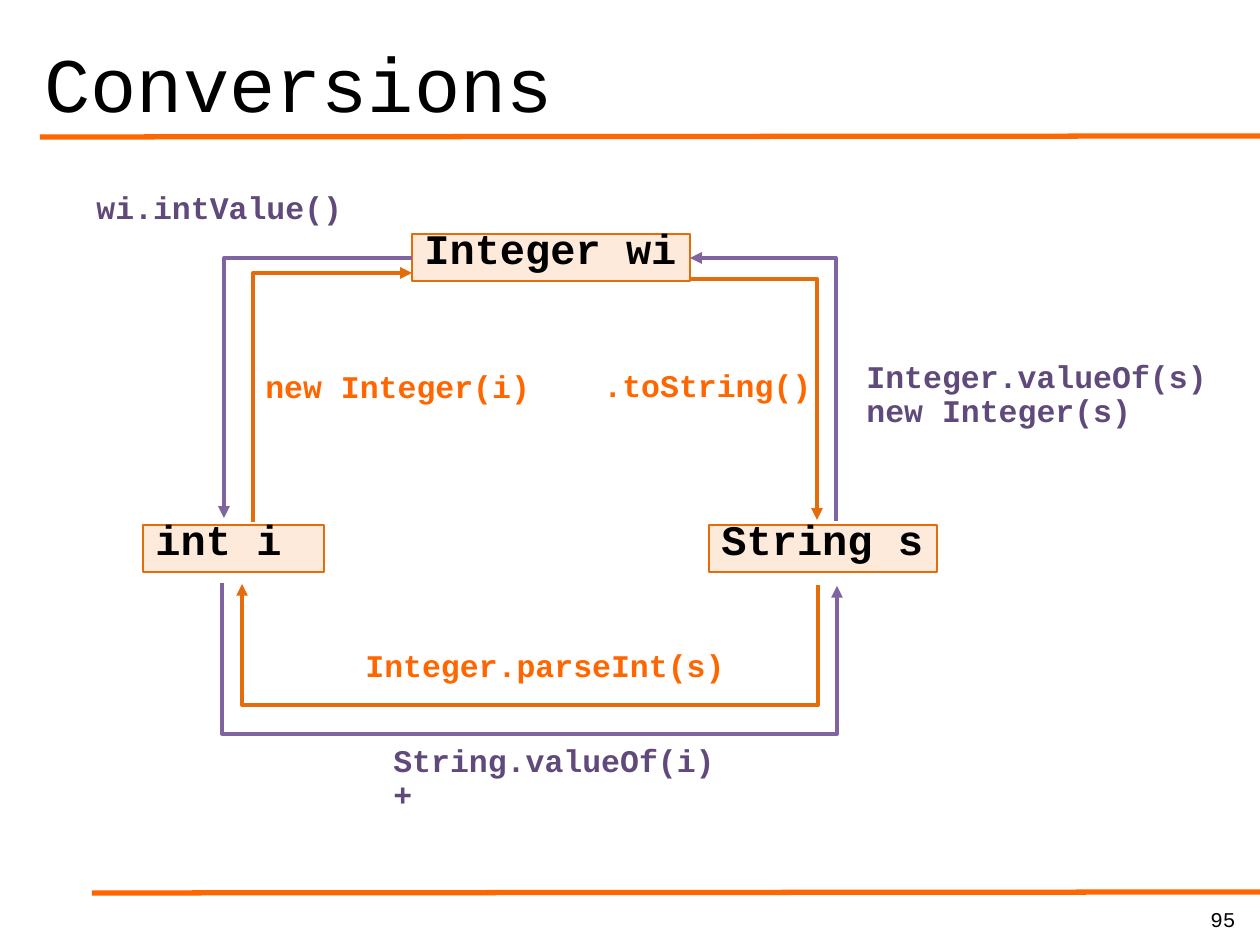
from lxml import etree
from pptx import Presentation
from pptx import util as u
from pptx.dml.color import RGBColor
from pptx.enum import shapes, text
from pptx.oxml.ns import qn

COLORS = {
    "rule": "FF6600", "orange": "E46C0A", "violet": "8064A2",
    "violet_text": "604A7B", "box": "FDEADA", "black": "000000",
}
FONT = "Courier New"
PX_PER_INCH = 126


def px(n):
    return u.Emu(round(n * 914400 / PX_PER_INCH))


def rgb(name):
    return RGBColor.from_string(COLORS[name])


class Deck:
    """Holds the presentation, the current slide and the shared style."""

    def __init__(self, width, height):
        self.prs = Presentation()
        self.prs.slide_width, self.prs.slide_height = px(width), px(height)
        self.s = None

    def new_slide(self):
        self.s = self.prs.slides.add_slide(self.prs.slide_layouts[5])

    def fill_text(self, tf, lines, color, spacing=None, align=text.PP_ALIGN.LEFT, **font):
        for i, line in enumerate(lines):
            p = tf.paragraphs[0] if i == 0 else tf.add_paragraph()
            p.alignment = align
            if spacing:
                p.line_spacing = spacing
            r = p.add_run()
            r.text = line
            r.font.name = FONT
            r.font.color.rgb = rgb(color)
            for name, value in font.items():
                setattr(r.font, name, value)

    def title(self, box, words):
        sp = self.s.shapes.title
        sp.left, sp.top, sp.width, sp.height = map(px, box)
        tf = sp.text_frame
        tf.vertical_anchor = text.MSO_ANCHOR.BOTTOM
        tf.auto_size = text.MSO_AUTO_SIZE.NONE
        self.fill_text(tf, [words], "black", 1.03, size=u.Pt(44), bold=False)

    def label(self, box, lines, color, spacing=0.6, **fmt):
        sp = self.s.shapes.add_textbox(*map(px, box))
        sp.text_frame.word_wrap = False
        fmt = {"size": u.Pt(18), "bold": True, **fmt}
        self.fill_text(sp.text_frame, lines, color, spacing, **fmt)

    def type_box(self, box, words):
        sp = self.s.shapes.add_shape(shapes.MSO_SHAPE.RECTANGLE, *map(px, box))
        sp.shadow.inherit = False
        sp.fill.solid()
        sp.fill.fore_color.rgb = rgb("box")
        sp.line.color.rgb = rgb("orange")
        sp.line.width = u.Pt(1)
        tf = sp.text_frame
        tf.word_wrap = True
        tf.vertical_anchor = text.MSO_ANCHOR.TOP
        self.fill_text(tf, [words], "black", 0.6, size=u.Pt(24), bold=True)

    def line(self, start, end, color, width, kind=shapes.MSO_CONNECTOR.STRAIGHT, arrow=None):
        """arrow is "headEnd" (at start) or "tailEnd" (at end)."""
        c = self.s.shapes.add_connector(kind, *map(px, (*start, *end)))
        c.line.color.rgb = rgb(color)
        c.line.width = u.Pt(width)
        if arrow:
            etree.SubElement(c.get_or_add_ln(), qn("a:" + arrow), type="triangle")
        etree.SubElement(c._element.spPr, qn("a:effectLst"))
        return c

    def corner(self, start, end, color, arrow):
        """One bend: horizontal from start, then vertical to end."""
        c = self.line(start, end, color, 2.25, shapes.MSO_CONNECTOR.ELBOW, arrow)
        c._element.spPr.find(qn("a:prstGeom")).set("prst", "bentConnector2")

    def loop(self, start, end, bend_y, color, arrow):
        """Two bends: vertical to bend_y, across, and vertical to end."""
        (x1, y1), (x2, y2) = start, end
        cx, cy = (x1 + x2) / 2, (y1 + y2) / 2
        unturned = [(cx - (y - cy), cy + (x - cx)) for x, y in (start, end)]
        c = self.line(*unturned, color, 2.25, shapes.MSO_CONNECTOR.ELBOW, arrow)
        sp_pr = c._element.spPr
        sp_pr.find(qn("a:xfrm")).set("rot", str(270 * 60000))
        bend = round((bend_y - y1) / (y2 - y1) * 100000)
        geometry = sp_pr.find(qn("a:prstGeom"))
        guides = geometry.find(qn("a:avLst"))
        if guides is None:
            guides = etree.SubElement(geometry, qn("a:avLst"))
        etree.SubElement(guides, qn("a:gd"), name="adj1", fmla=f"val {bend}")


def main():
    deck = Deck(1260, 945)
    deck.new_slide()

    for left, y in ((40, 137), (92, 893)):
        deck.line((1262, y - 1), (left, y), "rule", 3)
    deck.label((987, 900, 261, 38), ["95"], "black", None,
               align=text.PP_ALIGN.RIGHT, size=u.Pt(12), bold=False)
    deck.title((32, -78, 1226, 212), "Conversions")

    for box, words in (
        ((412, 234, 278, 47), "Integer wi"),
        ((143, 525, 181, 47), "int i"),
        ((709, 525, 228, 47), "String s"),
    ):
        deck.type_box(box, words)

    for box, words, color in (
        ((591, 373, 236, 38), ".toString()", "rule"),
        ((353, 653, 388, 38), "Integer.parseInt(s)", "rule"),
        ((253, 374, 292, 38), "new Integer(i)", "rule"),
        ((84, 195, 273, 38), "wi.intValue()", "violet_text"),
    ):
        deck.label(box, [words], color)
    for box, lines in (
        ((854, 355, 369, 82), ["Integer.valueOf(s)", "new Integer(s)"]),
        ((381, 739, 350, 82), ["String.valueOf(i)", "+"]),
    ):
        deck.label(box, lines, "violet_text", 0.9)

    deck.corner((412, 258), (224, 518), "violet", "tailEnd")
    deck.corner((690, 258), (836, 521), "violet", "headEnd")
    deck.corner((690, 279), (817, 520), "orange", "tailEnd")
    deck.corner((412, 273), (253, 522), "orange", "headEnd")
    deck.loop((837, 586), (222, 583), 735, "violet", "headEnd")
    deck.loop((242, 584), (818, 585), 706, "orange", "headEnd")

    deck.prs.save("out.pptx")


if __name__ == "__main__":
    main()
